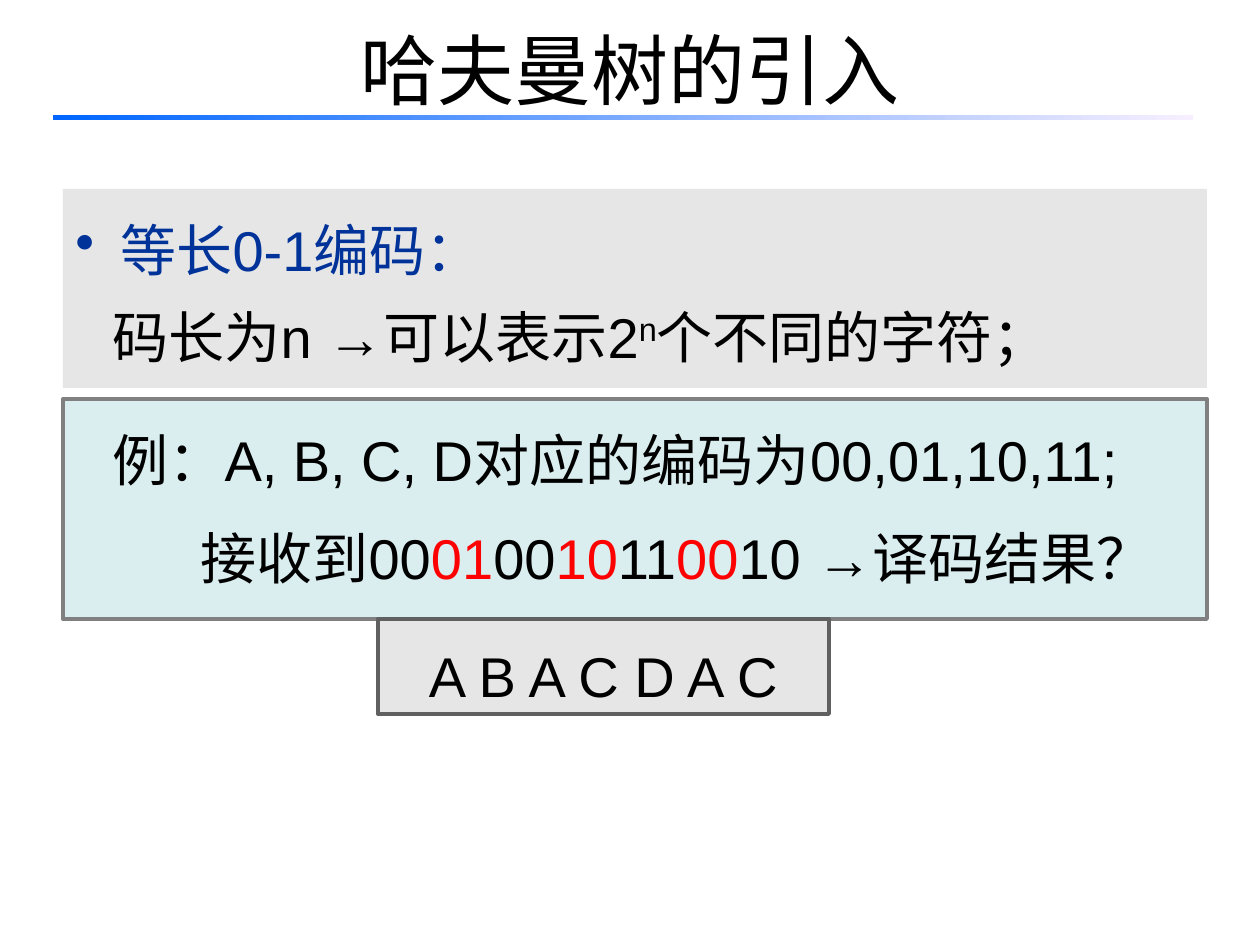
from lxml.etree import SubElement
from pptx import Presentation
from pptx.dml.color import RGBColor
from pptx.enum.shapes import MSO_SHAPE
from pptx.enum.text import MSO_ANCHOR, MSO_AUTO_SIZE, PP_ALIGN
from pptx.oxml.ns import qn
from pptx.util import Pt

SCALE = 914400 / 126
BLACK = RGBColor(0x00, 0x00, 0x00)
RED = RGBColor(0xFF, 0x00, 0x00)
NAVY = RGBColor(0x00, 0x33, 0x99)
BLUE = RGBColor(0x00, 0x66, 0xFF)
LILAC = RGBColor(0xF7, 0xEF, 0xFF)
PALE = RGBColor(0xE6, 0xE6, 0xE6)
AQUA = RGBColor(0xDA, 0xED, 0xEF)
GRAY = RGBColor(0x80, 0x80, 0x80)
DARK = RGBColor(0x60, 0x60, 0x60)


def px(n):
    return round(n * SCALE)


class Deck:
    """Holds the text style and the current slide."""

    def __init__(self, font, size):
        self.font, self.size = font, size
        self.prs = Presentation()
        self.prs.slide_width, self.prs.slide_height = px(1260), px(945)
        self.slide = self.prs.slides.add_slide(self.prs.slide_layouts[5])

    def title(self, text, x, y, w, h):
        shape = self.slide.shapes.title
        shape.left, shape.top, shape.width, shape.height = map(px, (x, y, w, h))
        frame = shape.text_frame
        frame.text = text
        frame.auto_size = MSO_AUTO_SIZE.NONE
        frame.vertical_anchor = MSO_ANCHOR.MIDDLE
        para = frame.paragraphs[0]
        para.alignment = PP_ALIGN.CENTER
        para.font.name, para.font.size = "Noto Sans CJK SC", Pt(44)
        para.font.color.rgb = BLACK

    def rect(self, x, y, w, h):
        shape = self.slide.shapes.add_shape(
            MSO_SHAPE.RECTANGLE, *map(px, (x, y, w, h)))
        shape.shadow.inherit = False
        shape.line.fill.background()
        return shape

    def rule(self, x, y, w, h, start, end):
        """Draw a bar that fades from left to right."""
        fill = self.rect(x, y, w, h).fill
        fill.gradient()
        fill.gradient_angle = 0
        for stop, color in zip(fill.gradient_stops, (start, end)):
            stop.color.rgb = color

    def box(self, x, y, w, h, color, line=None):
        """Draw a panel and return its text frame."""
        shape = self.rect(x, y, w, h)
        shape.fill.solid()
        shape.fill.fore_color.rgb = color
        if line is not None:
            shape.line.color.rgb = line
            shape.line.width = Pt(2.25)
        frame = shape.text_frame
        frame.word_wrap = True
        frame.vertical_anchor = MSO_ANCHOR.TOP
        return frame

    def para(self, frame, *runs, indent=0, bullet=None, color=BLACK,
             align=PP_ALIGN.LEFT, space=1.3, before=0):
        """Add a paragraph; a run is (text, colour or None, baseline in %)."""
        para = frame.paragraphs[0]
        if para.runs:
            para = frame.add_paragraph()
        para.alignment = align
        para.line_spacing = space
        para.space_before = Pt(before)
        props = para._p.get_or_add_pPr()
        props.set("marL", str(px(indent)))
        props.set("indent", str(px(-indent) if bullet else 0))
        if bullet:
            SubElement(props, qn("a:buChar")).set("char", bullet)
        para.font.name, para.font.size = self.font, Pt(self.size)
        para.font.color.rgb = color
        for text, tint, base in runs:
            run = para.add_run()
            run.text = text
            if tint is not None:
                run.font.color.rgb = tint
            if base:
                run._r.get_or_add_rPr().set("baseline", str(base * 1000))


def main():
    deck = Deck("Arial", 32)
    deck.title("哈夫曼树的引入", 63, -10, 1134, 158)
    deck.rule(53, 115, 1140, 5, BLUE, LILAC)

    rule = deck.box(63, 189, 1144, 199, PALE)
    deck.para(rule, ("等长0-1编码：", None, 0), indent=45, bullet="•", color=NAVY)
    deck.para(rule, ("码长为n →可以表示2", None, 0), ("n", None, 30),
              ("个不同的字符；", None, 0), indent=37)

    case = deck.box(63, 399, 1144, 220, AQUA, GRAY)
    deck.para(case, ("例：A, B, C, D对应的编码为00,01,10,11;", None, 0), indent=37)
    parts = ("接收到00", "01", "00", "10", "11", "00", "10 →译码结果？")
    deck.para(case, *((text, RED if i % 2 else None, 0)
                      for i, text in enumerate(parts)), indent=125, before=6)

    answer = deck.box(378, 619, 451, 95, PALE, DARK)
    deck.para(answer, ("A B A C D A C", None, 0),
              align=PP_ALIGN.CENTER, space=1.25)
    deck.prs.save("out.pptx")


if __name__ == "__main__":
    main()
